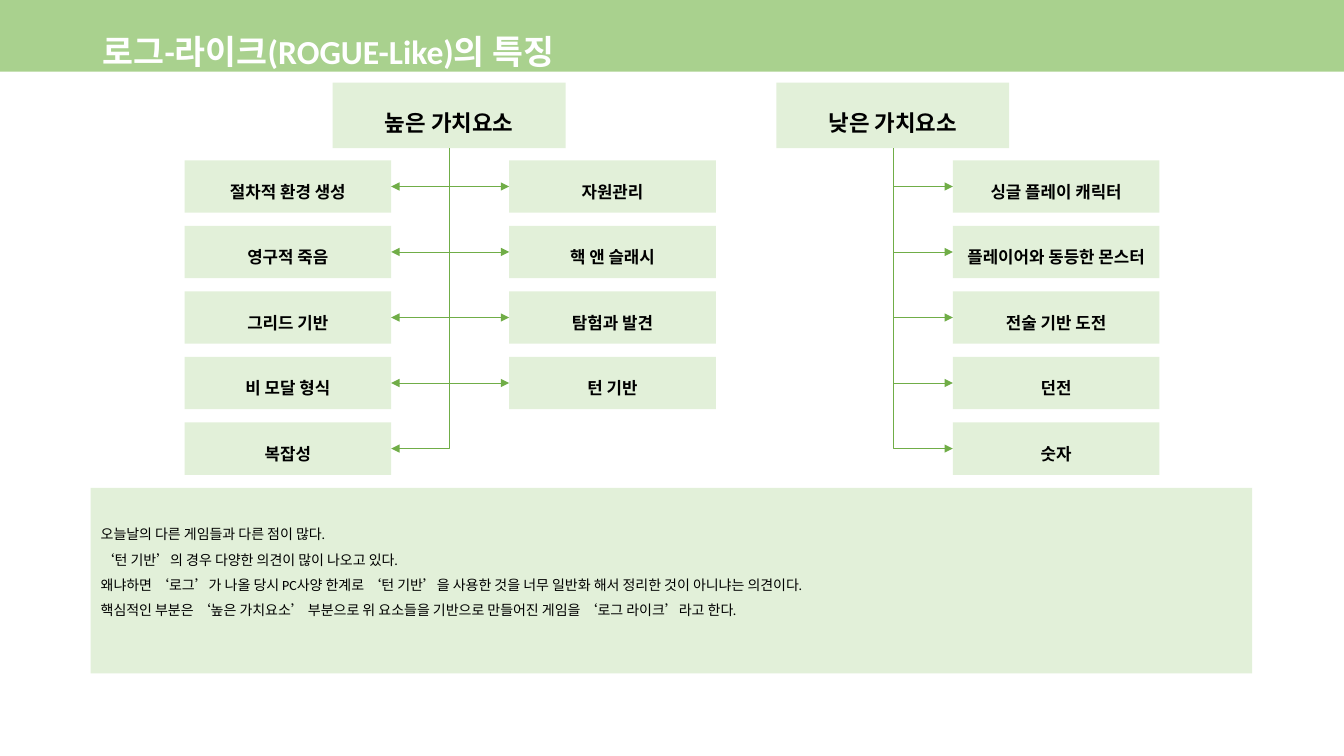
from lxml import etree
from pptx import Presentation
from pptx.dml.color import RGBColor
from pptx.enum.shapes import MSO_CONNECTOR as Connector, MSO_SHAPE as Shape
from pptx.enum.text import MSO_ANCHOR as Anchor, MSO_AUTO_SIZE as AutoSize, PP_ALIGN as Align
from pptx.oxml.ns import qn
from pptx.util import Inches, Pt

COLORS = {"band": "A9D18E", "box": "E2F0D9", "arrow": "70AD47", "text": "000000", "title": "FFFFFF"}
FONT = "Calibri"
HEADER_TOP, HEADER_WIDTH, HEADER_HEIGHT = 0.82, 2.31, 0.65
ROW_TOP, ROW_PITCH = 1.59, 0.65
ITEM_WIDTH, ITEM_HEIGHT = 2.05, 0.52
TOP_SITE, LEFT_SITE, BOTTOM_SITE, RIGHT_SITE = range(4)

# Each group: header text, header left, then (column left, items) pairs
GROUPS = [
    ("높은 가치요소", 3.3, [
        (1.83, ["절차적 환경 생성", "영구적 죽음", "그리드 기반", "비 모달 형식", "복잡성"]),
        (5.05, ["자원관리", "핵 앤 슬래시", "탐험과 발견", "턴 기반"]),
    ]),
    ("낮은 가치요소", 7.7, [
        (9.45, ["싱글 플레이 캐릭터", "플레이어와 동등한 몬스터", "전술 기반 도전", "던전", "숫자"]),
    ]),
]
NOTES = [
    "오늘날의 다른 게임들과 다른 점이 많다.",
    "‘턴 기반’의 경우 다양한 의견이 많이 나오고 있다.",
    "왜냐하면 ‘로그’가 나올 당시 PC사양 한계로 ‘턴 기반’을 사용한 것을 너무 일반화 해서 정리한 것이 아니냐는 의견이다.",
    "핵심적인 부분은 ‘높은 가치요소’ 부분으로 위 요소들을 기반으로 만들어진 게임을 ‘로그 라이크’라고 한다.",
]


def write_text(shape, lines, size, color="text", bold=False, align=Align.LEFT):
    frame = shape.text_frame
    frame.word_wrap = True
    frame.auto_size = AutoSize.NONE
    frame.vertical_anchor = Anchor.MIDDLE
    frame.text = "\n".join(lines)
    for paragraph in frame.paragraphs:
        paragraph.alignment = align
        paragraph.line_spacing = 1.5
        font = paragraph.runs[0].font
        font.name, font.size, font.bold = FONT, Pt(size), bold
        font.color.rgb = RGBColor.from_string(COLORS[color])


def add_box(slide, left, top, width, height, color="box"):
    box = slide.shapes.add_shape(
        Shape.RECTANGLE, Inches(left), Inches(top), Inches(width), Inches(height))
    box.shadow.inherit = False
    box.fill.solid()
    box.fill.fore_color.rgb = RGBColor.from_string(COLORS[color])
    box.line.fill.background()
    return box


def add_label(slide, text, left, top, width, height, size):
    box = add_box(slide, left, top, width, height)
    write_text(box, [text], size, bold=True, align=Align.CENTER)
    return box


def add_branch(slide, header, item):
    """Draw a one-bend arrow from the header's bottom down and across to the item's near side."""
    start_x, start_y = header.left + header.width // 2, header.top + header.height
    to_right = item.left > start_x
    end_x = item.left if to_right else item.left + item.width
    end_y = item.top + item.height // 2
    run, drop = abs(end_x - start_x), end_y - start_y

    branch = slide.shapes.add_connector(Connector.ELBOW, start_x, start_y, end_x, end_y)
    branch.begin_connect(header, BOTTOM_SITE)
    branch.end_connect(item, LEFT_SITE if to_right else RIGHT_SITE)
    branch.line.color.rgb = RGBColor.from_string(COLORS["arrow"])
    branch.line.width = Pt(0.5)

    # The bend is turned a quarter, so its frame is drop wide and run high
    branch.left = (start_x + end_x - drop) // 2
    branch.top = (start_y + end_y - run) // 2
    branch.width, branch.height = drop, run
    properties = branch._element.spPr
    frame = properties.find(qn("a:xfrm"))
    frame.set("rot", "16200000" if to_right else "5400000")
    frame.set("flipH", "1" if to_right else "0")
    properties.find(qn("a:prstGeom")).set("prst", "bentConnector2")
    etree.SubElement(properties.find(qn("a:ln")), qn("a:tailEnd"), type="triangle")
    etree.SubElement(properties, qn("a:effectLst"))


def add_group(slide, heading, left, columns):
    header = add_label(slide, heading, left, HEADER_TOP, HEADER_WIDTH, HEADER_HEIGHT, 16)
    items = [
        add_label(slide, text, column_left, ROW_TOP + row * ROW_PITCH, ITEM_WIDTH, ITEM_HEIGHT, 12)
        for column_left, texts in columns
        for row, text in enumerate(texts)
    ]
    for item in items:
        add_branch(slide, header, item)


def add_title(slide, text):
    band = add_box(slide, 0, 0, 13.33, 0.71, "band")
    slide.shapes._spTree.insert(2, band._element)  # behind the title
    title = slide.shapes.title
    title.left, title.top = Inches(0.92), Inches(0.15)
    title.width, title.height = Inches(11.5), Inches(0.52)
    write_text(title, [text], 24, "title", bold=True)


def main():
    presentation = Presentation()
    presentation.slide_width, presentation.slide_height = Inches(13.33), Inches(7.5)
    slide = presentation.slides.add_slide(presentation.slide_layouts[5])
    add_title(slide, "로그-라이크(ROGUE-Like)의 특징")
    for heading, left, columns in GROUPS:
        add_group(slide, heading, left, columns)
    notes_box = add_box(slide, 0.9, 4.84, 11.52, 1.84)
    write_text(notes_box, NOTES, 10)
    notes_box.text_frame.margin_bottom = Inches(0.3)
    presentation.save("out.pptx")


if __name__ == "__main__":
    main()
